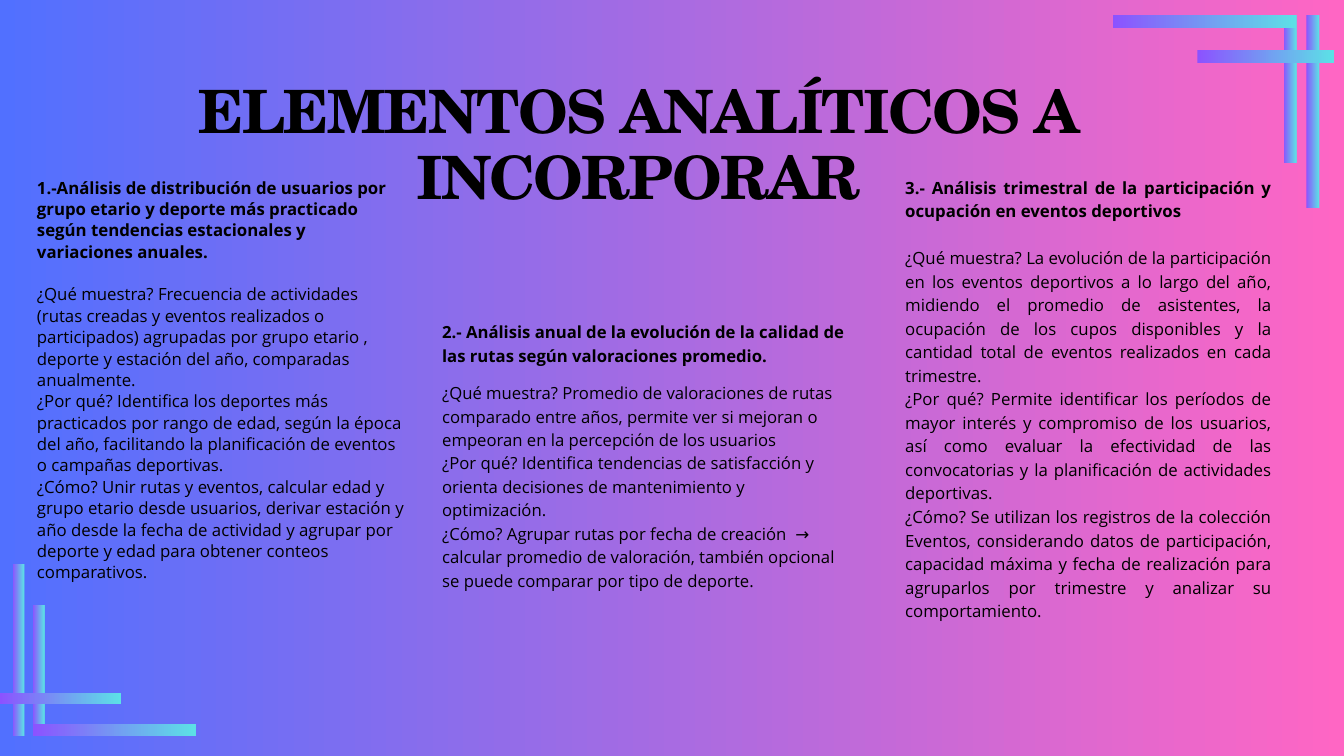
from pptx import Presentation
from pptx.dml.color import RGBColor
from pptx.enum.shapes import MSO_SHAPE
from pptx.enum.text import MSO_ANCHOR, MSO_AUTO_SIZE, PP_ALIGN
from pptx.oxml.ns import qn
from pptx.util import Pt

BLUE = RGBColor(0x51, 0x70, 0xFF)
PINK = RGBColor(0xFF, 0x66, 0xC4)
PURPLE = RGBColor(0x8C, 0x52, 0xFF)
CYAN = RGBColor(0x5C, 0xE1, 0xE6)
BLACK = RGBColor(0, 0, 0)

LEFT_THICKNESS = 12.24
RIGHT_THICKNESS = 13.68
BARS = [
    (13.68, 604.8, LEFT_THICKNESS, 183.6),
    (35.28, 648, LEFT_THICKNESS, 140.4),
    (0, 742.32, 129.6, LEFT_THICKNESS),
    (35.28, 776.16, 174.24, LEFT_THICKNESS),
    (1399.68, 15.84, RIGHT_THICKNESS, 206.64),
    (1375.2, 15.84, RIGHT_THICKNESS, 158.4),
    (1283.04, 54, 146.16, RIGHT_THICKNESS),
    (1192.32, 15.84, 196.56, RIGHT_THICKNESS),
]

TITLE = "ELEMENTOS ANALÍTICOS A INCORPORAR"
USERS = [
    "1.-Análisis de distribución de usuarios por grupo etario y deporte más practicado "
    "según tendencias estacionales y variaciones anuales.",
    "¿Qué muestra? Frecuencia de actividades (rutas creadas y eventos realizados o "
    "participados) agrupadas por grupo etario , deporte y estación del año, comparadas "
    "anualmente.",
    "¿Por qué? Identifica los deportes más practicados por rango de edad, según la época "
    "del año, facilitando la planificación de eventos o campañas deportivas.",
    "¿Cómo? Unir rutas y eventos, calcular edad y grupo etario desde usuarios, derivar "
    "estación y año desde la fecha de actividad y agrupar por deporte y edad para obtener "
    "conteos comparativos.",
]
ROUTES = [
    "2.- Análisis anual de la evolución de la calidad de las rutas según valoraciones "
    "promedio.",
    "¿Qué muestra? Promedio de valoraciones de rutas comparado entre años, permite ver si "
    "mejoran o empeoran en la percepción de los usuarios",
    "¿Por qué? Identifica tendencias de satisfacción y orienta decisiones de mantenimiento "
    "y optimización.",
    "¿Cómo? Agrupar rutas por fecha de creación  → calcular promedio de valoración, también "
    "opcional se puede comparar por tipo de deporte.",
]
EVENTS = [
    "3.- Análisis trimestral de la participación y ocupación en eventos deportivos",
    "¿Qué muestra? La evolución de la participación en los eventos deportivos a lo largo "
    "del año, midiendo el promedio de asistentes, la ocupación de los cupos disponibles y "
    "la cantidad total de eventos realizados en cada trimestre.",
    "¿Por qué? Permite identificar los períodos de mayor interés y compromiso de los "
    "usuarios, así como evaluar la efectividad de las convocatorias y la planificación de "
    "actividades deportivas.",
    "¿Cómo? Se utilizan los registros de la colección Eventos, considerando datos de "
    "participación, capacidad máxima y fecha de realización para agruparlos por trimestre "
    "y analizar su comportamiento.",
]


def fill_gradient(fill, start, end):
    fill.gradient()
    fill.gradient_angle = 0
    for stop, color in zip(fill.gradient_stops, (start, end)):
        stop.color.rgb = color


def add_bar(slide, box):
    bar = slide.shapes.add_shape(MSO_SHAPE.RECTANGLE, *map(Pt, box))
    bar.shadow.inherit = False
    bar.line.fill.background()
    fill_gradient(bar.fill, PURPLE, CYAN)


def place(placeholder, box):
    placeholder.left, placeholder.top, placeholder.width, placeholder.height = map(Pt, box)
    frame = placeholder.text_frame
    frame.margin_left = frame.margin_top = frame.margin_right = frame.margin_bottom = 0
    frame.vertical_anchor = MSO_ANCHOR.TOP
    frame.auto_size = MSO_AUTO_SIZE.NONE
    frame.word_wrap = True
    return frame


def style(paragraph, font_name, size, bold, line, align):
    paragraph.alignment = align
    paragraph.line_spacing = Pt(line)
    paragraph.space_before = paragraph.space_after = Pt(0)
    paragraph.font.name = font_name
    paragraph.font.size = Pt(size)
    paragraph.font.bold = bold
    paragraph.font.color.rgb = BLACK


def set_title(placeholder):
    heading = place(placeholder, (105.12, 84.96, 1157.76, 142)).paragraphs[0]
    heading.text = TITLE
    style(heading, "TeX Gyre Schola", 64, True, 71, PP_ALIGN.CENTER)
    heading.runs[0].font._element.set("spc", "-170")


def set_column(placeholder, box, texts, size, line, gap, align=PP_ALIGN.LEFT):
    frame = place(placeholder, box)
    frame.text = "\n".join(texts)
    for index, paragraph in enumerate(frame.paragraphs):
        properties = paragraph._p.get_or_add_pPr()
        properties.set("marL", "0")
        properties.set("indent", "0")
        properties.append(properties.makeelement(qn("a:buNone"), {}))
        style(paragraph, "Open Sans", size, index == 0, line, align)
    frame.paragraphs[1].space_before = Pt(gap)


def main():
    deck = Presentation()
    deck.slide_width, deck.slide_height = Pt(1440), Pt(810)
    slide = deck.slides.add_slide(deck.slide_layouts.get_by_name("Comparison"))
    fill_gradient(slide.background.fill, BLUE, PINK)

    title, users, routes, events, spare = slide.placeholders
    spare._element.getparent().remove(spare._element)
    set_title(title)
    set_column(users, (39.6, 188.64, 394.56, 448.56), USERS, 18, 22.9, 22.9)
    set_column(routes, (473.76, 341.28, 435.6, 309.6), ROUTES, 17.9, 25.1, 15.3)
    set_column(events, (969.84, 186.48, 392.4, 485.28), EVENTS, 18, 25.2, 25.2, PP_ALIGN.JUSTIFY)

    for box in BARS:
        add_bar(slide, box)
    deck.save("out.pptx")


if __name__ == "__main__":
    main()
